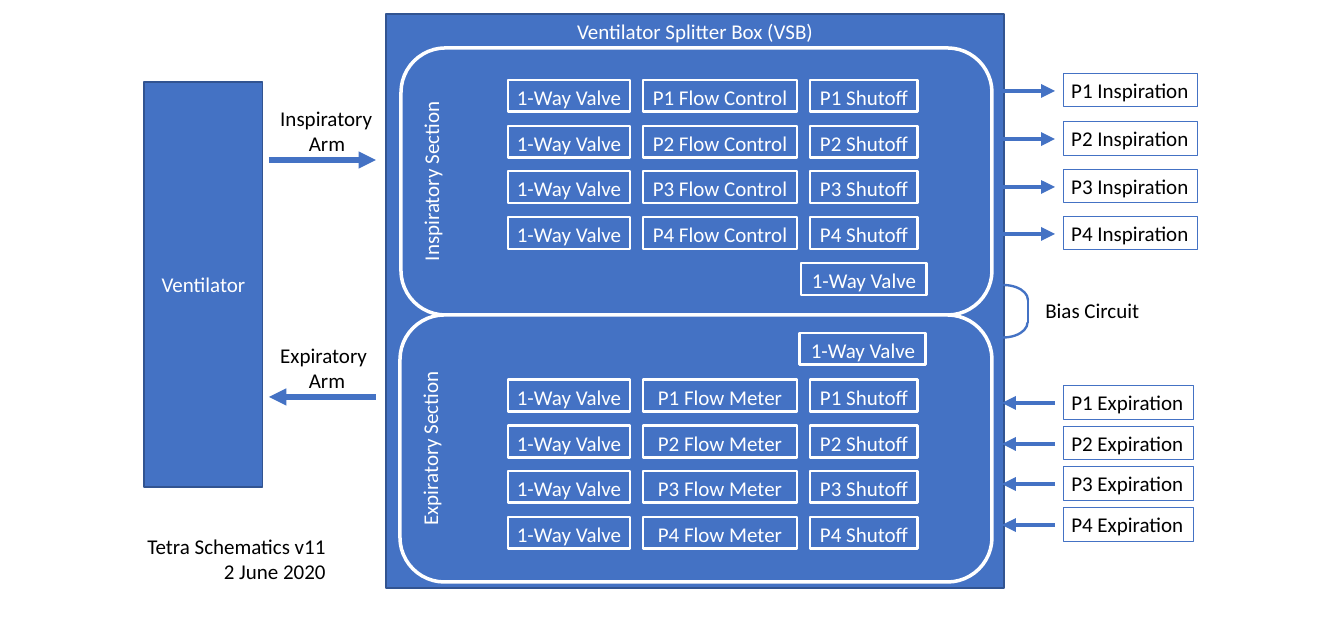
from dataclasses import dataclass

import lxml.etree
import pptx
import pptx.dml.color
import pptx.enum.shapes
import pptx.enum.text
import pptx.oxml.ns
import pptx.util

EMU_PER_PX = 914400 / 84
COLORS = {"blue": "4472C4", "edge": "325491", "white": "FFFFFF", "black": "000000"}
FONT = "Calibri"
FONT_SIZE = 18

SHAPES = pptx.enum.shapes.MSO_SHAPE
ALIGN = pptx.enum.text.PP_ALIGN
ANCHOR = pptx.enum.text.MSO_ANCHOR
AUTO_SIZE = pptx.enum.text.MSO_AUTO_SIZE

ROW_COUNT = 4
CELL_HEIGHT = 32
CELL_PITCH = 45.7
LABEL_HEIGHT = 34


@dataclass(frozen=True)
class Area:
    left: int
    top: int
    width: int
    height: int


@dataclass(frozen=True)
class Section:
    """One half of the splitter box, with its patient lines."""
    name: str
    area: Area
    rows_top: int
    flow_part: str
    bias_valve: Area
    label_name: str
    label_width: int
    labels_top: int
    label_pitch: float
    arrow_end: str


SECTIONS = [
    Section("Inspiratory Section", Area(401, 48, 591, 267), 80, "Flow Control",
            Area(801, 263, 126, CELL_HEIGHT), "Inspiration", 135, 73, 47.8, "tailEnd"),
    Section("Expiratory Section", Area(400, 315, 592, 267), 380, "Flow Meter",
            Area(800, 333, 126, CELL_HEIGHT), "Expiration", 130, 385, 40.7, "headEnd"),
]


def px(value: float) -> int:
    return round(value * EMU_PER_PX)


def rgb(name: str) -> pptx.dml.color.RGBColor:
    return pptx.dml.color.RGBColor.from_string(COLORS[name])


def write(shape, paragraphs: list[tuple[str, ALIGN]], color: str) -> None:
    frame = shape.text_frame
    frame.text = "\n".join(text for text, _ in paragraphs)
    for paragraph, (_, alignment) in zip(frame.paragraphs, paragraphs):
        paragraph.alignment = alignment
        paragraph.font.name = FONT
        paragraph.font.size = pptx.util.Pt(FONT_SIZE)
        paragraph.font.color.rgb = rgb(color)


def add_shape(slide, kind: SHAPES, area: Area, fill: str | None, line: str, line_width: float):
    shape = slide.shapes.add_shape(
        kind, px(area.left), px(area.top), px(area.width), px(area.height))
    shape.shadow.inherit = False
    if fill:
        shape.fill.solid()
        shape.fill.fore_color.rgb = rgb(fill)
    else:
        shape.fill.background()
    shape.line.color.rgb = rgb(line)
    shape.line.width = pptx.util.Pt(line_width)
    return shape


def add_block(slide, text: str, area: Area, line: str = "white", line_width: float = 2.5,
              kind: SHAPES = SHAPES.RECTANGLE, anchor: ANCHOR = ANCHOR.TOP):
    """Blue block with centred white text."""
    shape = add_shape(slide, kind, area, "blue", line, line_width)
    write(shape, [(text, ALIGN.CENTER)], "white")
    shape.text_frame.word_wrap = True
    shape.text_frame.vertical_anchor = anchor
    return shape


def add_label(slide, text: str, area: Area) -> None:
    """Outlined box with black text."""
    shape = add_shape(slide, SHAPES.RECTANGLE, area, None, "blue", 0.75)
    write(shape, [(text, ALIGN.LEFT)], "black")
    shape.text_frame.word_wrap = False
    shape.text_frame.vertical_anchor = ANCHOR.TOP
    shape.text_frame.auto_size = AUTO_SIZE.SHAPE_TO_FIT_TEXT


def add_caption(slide, paragraphs: list[tuple[str, ALIGN]], area: Area, wrap: bool) -> None:
    box = slide.shapes.add_textbox(
        px(area.left), px(area.top), px(area.width), px(area.height))
    write(box, paragraphs, "black")
    box.text_frame.word_wrap = wrap
    box.text_frame.auto_size = AUTO_SIZE.SHAPE_TO_FIT_TEXT


def add_line(slide, start: tuple[int, int], end: tuple[int, int], width: float,
             arrow_end: str | None = None) -> None:
    line = slide.shapes.add_connector(
        pptx.enum.shapes.MSO_CONNECTOR.STRAIGHT, *map(px, start + end))
    line.line.color.rgb = rgb("blue")
    line.line.width = pptx.util.Pt(width)
    if arrow_end:
        lxml.etree.SubElement(line.line._get_or_add_ln(),
                              pptx.oxml.ns.qn(f"a:{arrow_end}"), type="triangle")
    lxml.etree.SubElement(line._element.spPr, pptx.oxml.ns.qn("a:effectLst"))


def add_section(slide, section: Section) -> None:
    frame = add_block(slide, section.name, section.area, line_width=3,
                      kind=SHAPES.ROUNDED_RECTANGLE)
    frame.text_frame._txBody.bodyPr.set("vert", "vert270")
    add_block(slide, "1-Way Valve", section.bias_valve)
    for row in range(ROW_COUNT):
        patient = f"P{row + 1}"
        cell_top = round(section.rows_top + row * CELL_PITCH)
        for text, left, width in (
            ("1-Way Valve", 508, 122),
            (f"{patient} {section.flow_part}", 643, 154),
            (f"{patient} Shutoff", 810, 108),
        ):
            add_block(slide, text, Area(left, cell_top, width, CELL_HEIGHT))

        label_top = round(section.labels_top + row * section.label_pitch)
        arrow_y = label_top + 18
        add_line(slide, (1002, arrow_y), (1055, arrow_y), 4, section.arrow_end)
        add_label(slide, f"{patient} {section.label_name}",
                  Area(1063, label_top, section.label_width, LABEL_HEIGHT))


def add_bias_circuit(slide) -> None:
    add_shape(slide, SHAPES.ARC, Area(979, 285, 49, 30), None, "blue", 2)
    add_line(slide, (1028, 300), (1028, 323), 2)
    lower_arc = add_shape(slide, SHAPES.ARC, Area(988, 298, 30, 49), None, "blue", 2)
    lower_arc.rotation = 90
    add_caption(slide, [("Bias Circuit", ALIGN.LEFT)], Area(1037, 293, 112, 34), wrap=False)


def main() -> None:
    presentation = pptx.Presentation()
    presentation.slide_width = px(1344)
    presentation.slide_height = px(630)
    slide = presentation.slides.add_slide(presentation.slide_layouts[6])

    add_block(slide, "Ventilator Splitter Box (VSB)", Area(386, 14, 618, 574), "edge", 1)
    add_block(slide, "Ventilator", Area(144, 82, 119, 405), "edge", 1, anchor=ANCHOR.MIDDLE)

    for name, caption_top, arrow_y, arrow_end in (
        ("Inspiratory", 101, 160, "tailEnd"),
        ("Expiratory", 338, 397, "headEnd"),
    ):
        add_line(slide, (269, arrow_y), (376, arrow_y), 5, arrow_end)
        add_caption(slide, [(name, ALIGN.LEFT), ("Arm", ALIGN.CENTER)],
                    Area(272, caption_top, 110, 60), wrap=True)

    for section in SECTIONS:
        add_section(slide, section)
    add_bias_circuit(slide)
    add_caption(slide, [("Tetra Schematics v11", ALIGN.LEFT), ("2 June 2020", ALIGN.RIGHT)],
                Area(139, 529, 214, 60), wrap=False)
    presentation.save("out.pptx")


if __name__ == "__main__":
    main()
